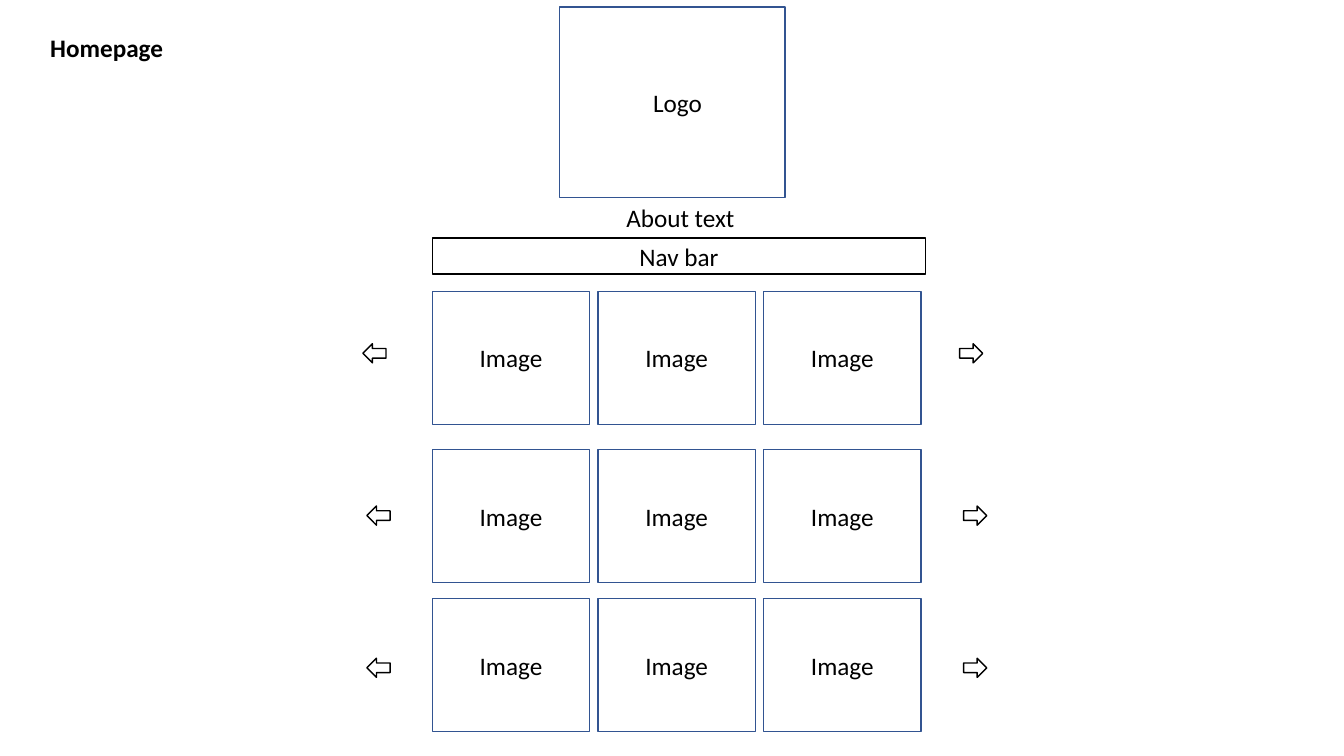
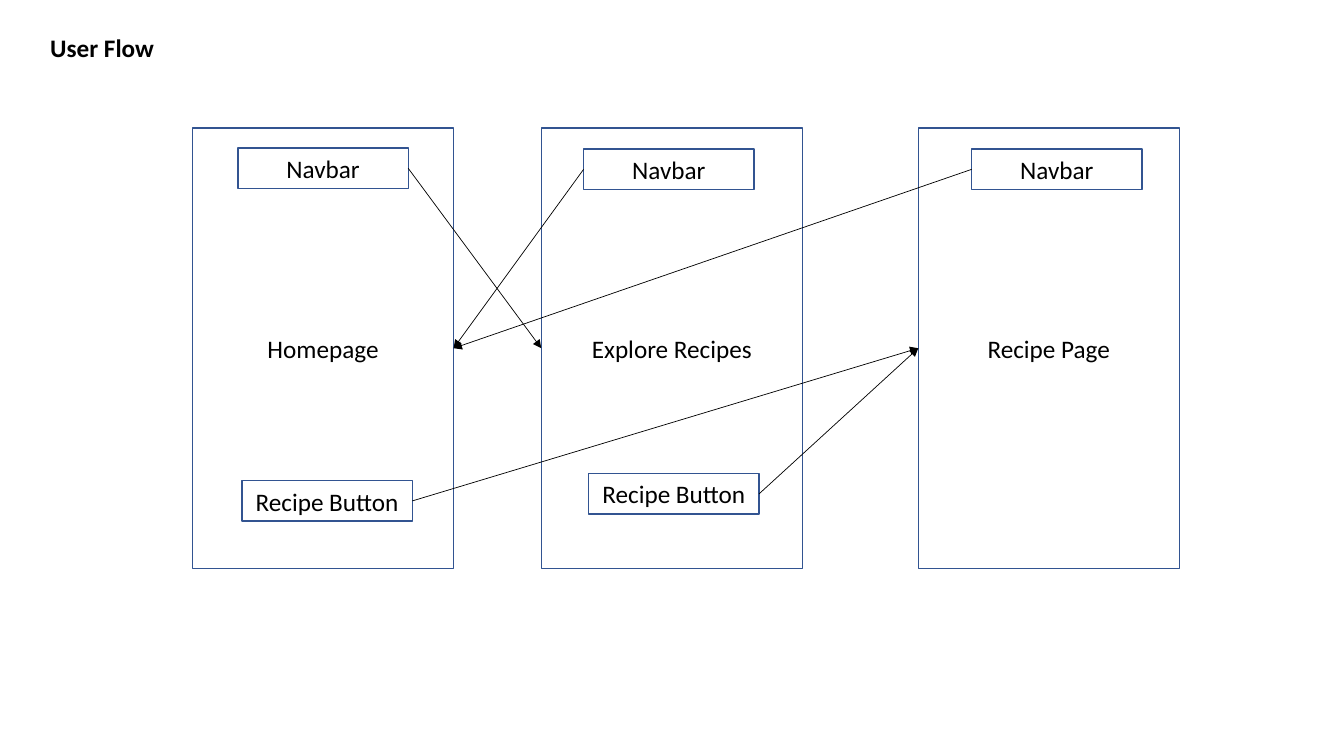
"""Build a homepage wireframe and a user flow on a 40 by 22.5 grid."""
from dataclasses import dataclass
from itertools import product

from lxml.etree import SubElement
from pptx import Presentation
from pptx.dml.color import RGBColor as RGB
from pptx.enum.shapes import MSO_CONNECTOR as LINK, MSO_SHAPE as KIND
from pptx.enum.text import MSO_ANCHOR as ANCHOR, MSO_AUTO_SIZE as AUTO, PP_ALIGN as ALIGN
from pptx.oxml.ns import qn
from pptx.shapes.autoshape import Shape
from pptx.slide import Slide
from pptx.util import Emu, Pt

WIDE, HIGH = Emu(12192000), Emu(6858000)
COL, ROW = WIDE / 40, HIGH / 22.5
HUES = {"ink": "000000", "edge": "325491"}
FONT, SIZE = "Calibri", Pt(18)
LEFT, RIGHT = 1, 3


@dataclass(frozen=True)
class Box:
    """Place and look of a box, in columns and rows."""
    x: float
    y: float
    w: float
    h: float
    text: str = ""
    edge: str = "edge"
    kind: KIND = KIND.RECTANGLE

    def area(self) -> tuple[Emu, Emu, Emu, Emu]:
        """Return left, top, width and height."""
        return (Emu(round(self.x * COL)), Emu(round(self.y * ROW)),
                Emu(round(self.w * COL)), Emu(round(self.h * ROW)))


def tint(name: str) -> RGB:
    """Return a named colour."""
    return RGB.from_string(HUES[name])


def write(shape: Shape, text: str, align: ALIGN, bold: bool = False) -> None:
    """Set one line of text in the shared style."""
    frame = shape.text_frame
    frame.word_wrap = True
    frame.text = text
    line = frame.paragraphs[0]
    line.alignment = align
    for run in line.runs:
        font = run.font
        font.name, font.size, font.bold = FONT, SIZE, bold
        font.color.rgb = tint("ink")


def draw(slide: Slide, box: Box) -> Shape:
    """Draw an outlined shape with centred text."""
    shape = slide.shapes.add_shape(box.kind, *box.area())
    shape.shadow.inherit = False
    shape.fill.background()
    shape.line.color.rgb = tint(box.edge)
    shape.line.width = Pt(1)
    if box.text:
        write(shape, box.text, ALIGN.CENTER)
        shape.text_frame.vertical_anchor = ANCHOR.MIDDLE
    return shape


def label(slide: Slide, box: Box, align: ALIGN, bold: bool = False) -> None:
    """Draw a plain text box."""
    shape = slide.shapes.add_textbox(*box.area())
    write(shape, box.text, align, bold)
    shape.text_frame.auto_size = AUTO.SHAPE_TO_FIT_TEXT


def join(slide: Slide, start: Shape, side: int, end: Shape, goal: int) -> None:
    """Draw an arrow glued to the sides of two shapes."""
    link = slide.shapes.add_connector(LINK.STRAIGHT, 0, 0, 0, 0)
    link.begin_connect(start, side)
    link.end_connect(end, goal)
    link.line.color.rgb = tint("ink")
    link.line.width = Pt(0.5)
    props = link.element.spPr
    SubElement(props.get_or_add_ln(), qn("a:tailEnd"), type="triangle")
    SubElement(props, qn("a:effectLst"))


def start(deck: Presentation, title: str) -> Slide:
    """Add a blank slide with its title."""
    slide = deck.slides.add_slide(deck.slide_layouts[6])
    label(slide, Box(1.2, 0.81, 6.18, 1.2, title), ALIGN.LEFT, True)
    return slide


def home(deck: Presentation) -> None:
    """Build the homepage wireframe."""
    slide = start(deck, "Homepage")
    logo = draw(slide, Box(16.65, 0.21, 6.72, 5.67, "Logo"))
    logo.text_frame.margin_left = Emu(round(0.6 * COL))
    label(slide, Box(15.42, 5.88, 9.66, 1.2, "About text"), ALIGN.CENTER)
    edge = 12.87
    draw(slide, Box(edge, 7.08, 14.67, 1.08, "Nav bar", "ink"))
    for y, i in product((8.67, 13.38, 17.82), range(3)):
        draw(slide, Box(edge + i * 4.93, y, 4.68, 3.96, "Image"))
    for x, y in ((10.8, 10.23), (10.92, 15.06), (10.92, 19.59)):
        for step, kind in ((0, KIND.LEFT_ARROW), (17.76, KIND.RIGHT_ARROW)):
            draw(slide, Box(x + step, y, 0.69, 0.57, "", "ink", kind))


def flow(deck: Presentation) -> None:
    """Build the user flow between the pages."""
    slide = start(deck, "User Flow")
    pages = ((5.73, "Homepage"), (16.11, "Explore Recipes"), (27.33, "Recipe Page"))
    first, mid, last = [draw(slide, Box(x, 3.81, 7.77, 13.11, text)) for x, text in pages]
    navs = [draw(slide, Box(x, y, 5.07, 1.2, "Navbar"))
            for x, y in ((7.08, 4.41), (17.37, 4.44), (28.92, 4.44))]
    keys = [draw(slide, Box(x, y, 5.07, 1.2, "Recipe Button"))
            for x, y in ((7.2, 14.31), (17.52, 14.1))]
    join(slide, navs[0], RIGHT, mid, LEFT)
    for nav in navs[1:]:
        join(slide, nav, LEFT, first, RIGHT)
    for key in keys:
        join(slide, key, RIGHT, last, LEFT)


def main() -> None:
    """Build and save the deck."""
    deck = Presentation()
    deck.slide_width, deck.slide_height = WIDE, HIGH
    home(deck)
    flow(deck)
    deck.save("out.pptx")


main()
